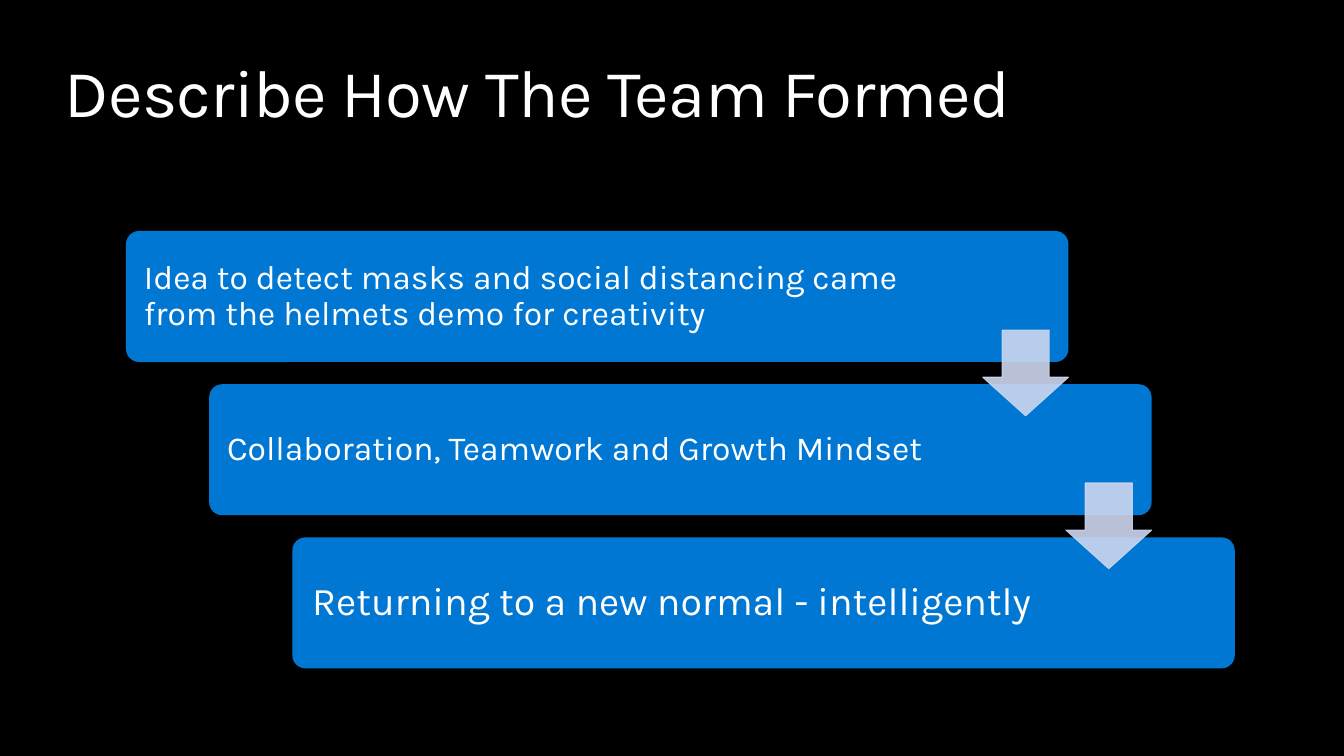
from dataclasses import dataclass

from lxml.etree import SubElement
from pptx import Presentation
from pptx.dml.color import RGBColor as Rgb
from pptx.enum.shapes import MSO_SHAPE as Kind
from pptx.enum.text import MSO_ANCHOR as Anchor, MSO_AUTO_SIZE as Fit, PP_ALIGN as Align
from pptx.oxml.ns import qn
from pptx.util import Inches, Pt

WIDE, HIGH = Inches(13.33), Inches(7.5)
COLS, ROWS = 160, 90
FONT = "Karla"
BLACK, WHITE, BLUE, PALE = "000000", "FFFFFF", "0078D3", "CCD6EF"
STEP = 9.9


@dataclass
class Stage:
    """One step of the staircase, with its side insets in columns."""
    text: str
    size: int
    left: float
    right: float


STAGES = [
    Stage("Idea to detect masks and social distancing came from the helmets "
          "demo for creativity", 24, 1.68, 17.5),
    Stage("Collaboration, Teamwork and Growth Mindset", 24, 1.68, 21.7),
    Stage("Returning to a new normal - intelligently", 28, 1.92, 22),
]


def col(count: float) -> int:
    """Turn columns into a length."""
    return round(WIDE * count / COLS)


def row(count: float) -> int:
    """Turn rows into a length."""
    return round(HIGH * count / ROWS)


def paint(fill, tone: str, alpha: int = 100) -> None:
    """Give a fill a solid colour and an opacity in percent."""
    fill.solid()
    fill.fore_color.rgb = Rgb.from_string(tone)
    if alpha < 100:
        node = fill._xPr.find(qn("a:solidFill"))[0]
        SubElement(node, qn("a:alpha"), val=str(alpha * 1000))


def write(shape, text: str, *, size: int, anchor, left: float = 0,
          right: float = 0, pad: float = 0, lead: float = 1.0,
          track: int = 0) -> None:
    """Put formatted text into a shape."""
    frame = shape.text_frame
    frame.word_wrap = True
    frame.auto_size = Fit.NONE
    frame.vertical_anchor = anchor
    frame.margin_left, frame.margin_right = col(left), col(right)
    frame.margin_top = frame.margin_bottom = row(pad)
    para = frame.paragraphs[0]
    para.alignment = Align.LEFT
    para.line_spacing = lead
    run = para.add_run()
    run.text = text
    run.font.name = FONT
    run.font.size = Pt(size)
    run.font.color.rgb = Rgb.from_string(WHITE)
    if track:
        run.font._element.set("spc", str(track))


def block(slide, kind, x: float, y: float, w: float, h: float,
          tone: str, *, adjust: list[float], alpha: int = 100):
    """Add a flat preset shape placed on the grid."""
    shape = slide.shapes.add_shape(kind, col(x), row(y), col(w), row(h))
    shape.shadow.inherit = False
    for spot, value in enumerate(adjust):
        shape.adjustments[spot] = value
    paint(shape.fill, tone, alpha)
    shape.line.fill.background()
    return shape


def stair(slide) -> None:
    """Draw the stages and the arrows that lead down them."""
    for turn, stage in enumerate(STAGES):
        box = block(slide, Kind.ROUNDED_RECTANGLE, 15 + STEP * turn,
                    27.5 + 18.24 * turn, 112.2, 15.6, BLUE, adjust=[0.1])
        write(box, stage.text, size=stage.size, anchor=Anchor.MIDDLE,
              left=stage.left, right=stage.right, pad=1.6, lead=0.9)
    for turn in range(len(STAGES) - 1):
        arrow = block(slide, Kind.DOWN_ARROW, 117 + STEP * turn,
                      39.3 + 18.2 * turn, 10.2, 10.2, PALE,
                      adjust=[0.45, 0.55], alpha=90)
        arrow.adjustments[0], arrow.adjustments[1] = 0.55, 0.45
        paint(arrow.line.fill, PALE, 90)
        arrow.line.width = Pt(0.75)


def main() -> None:
    """Build and save the slide."""
    deck = Presentation()
    deck.slide_width, deck.slide_height = WIDE, HIGH
    slide = deck.slides.add_slide(deck.slide_layouts[5])
    paint(slide.background.fill, BLACK)
    title = slide.shapes.title
    title.left, title.top = col(7.7), row(6)
    title.width, title.height = col(144.6), row(7.3)
    write(title, "Describe How The Team Formed", size=48,
          anchor=Anchor.TOP, track=-50)
    stair(slide)
    deck.save("out.pptx")


if __name__ == "__main__":
    main()
